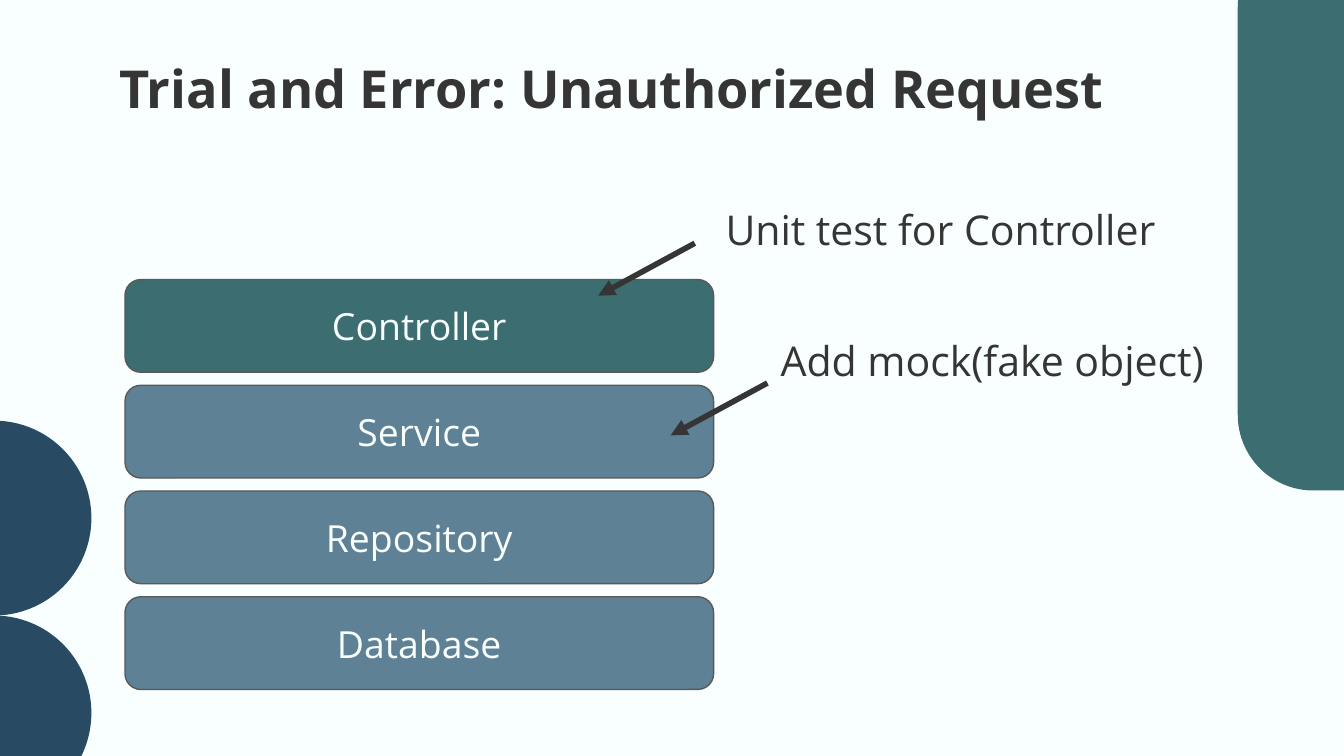
import pptx
import pptx.util
import pptx.dml.color
import pptx.enum.shapes
import pptx.enum.text
import pptx.oxml.ns
from lxml import etree

Inches = pptx.util.Inches
Pt = pptx.util.Pt
SHAPE = pptx.enum.shapes.MSO_SHAPE
ALIGN = pptx.enum.text.PP_ALIGN
ANCHOR = pptx.enum.text.MSO_ANCHOR
COLORS = {"background": "F8FFFE", "teal": "3C6E71", "navy": "284B63",
          "steel": "5F8195", "outline": "595959", "ink": "353535"}
FONT = "Open Sans"
TITLE = {"size": Pt(28), "bold": True}
LAYER = {"size": Pt(20)}
NOTE = {"size": Pt(22)}


def rgb(name):
    return pptx.dml.color.RGBColor.from_string(COLORS[name])


def write(sp, text, color, fmt, align=ALIGN.LEFT, anchor=ANCHOR.TOP):
    tf = sp.text_frame
    frame = {"word_wrap": True, "vertical_anchor": anchor}
    for side in ("left", "top", "right", "bottom"):
        frame[f"margin_{side}"] = Inches(0.1)
    for key, value in frame.items():
        setattr(tf, key, value)
    p = tf.paragraphs[0]
    p.alignment = align
    r = p.add_run()
    r.text = text
    for key, value in {"name": FONT, **fmt}.items():
        setattr(r.font, key, value)
    r.font.color.rgb = rgb(color)


def add_text(s, box, text, fmt):
    sp = s.shapes.add_textbox(*map(Inches, box))
    write(sp, text, "ink", fmt)


def add_block(s, kind, box, fill, radius=None, outline=None):
    sp = s.shapes.add_shape(kind, *map(Inches, box))
    sp.shadow.inherit = False
    sp.fill.solid()
    sp.fill.fore_color.rgb = rgb(fill)
    if radius is not None:
        sp.adjustments[0] = radius
    if outline:
        sp.line.color.rgb = rgb(outline)
        sp.line.width = Pt(0.75)
    else:
        sp.line.fill.background()
    return sp


def add_decoration(s, width):
    add_block(s, SHAPE.ROUNDED_RECTANGLE, (width - 0.79, -0.51, 1.94, 4.16), "teal", 0.29)
    size = 1.45
    for i in range(2):
        add_block(s, SHAPE.OVAL, (-0.77, 3.13 + i * size, size, size), "navy")


def add_layers(s, box, names, active, height=0.69):
    left, top, width, total = box
    step = (total - height) / (len(names) - 1)
    for i, name in enumerate(names):
        sp = add_block(s, SHAPE.ROUNDED_RECTANGLE, (left, top + i * step, width, height),
                       "teal" if name == active else "steel", 0.17, "outline")
        write(sp, name, "background", LAYER, ALIGN.CENTER, ANCHOR.MIDDLE)


def add_callout(s, box, text, tail, reach=(-0.72, 0.39)):
    left, top = box[:2]
    x, y = left + tail[0], top + tail[1]
    cxn = s.shapes.add_connector(pptx.enum.shapes.MSO_CONNECTOR.STRAIGHT,
                                 *map(Inches, (x, y, x + reach[0], y + reach[1])))
    cxn.line.color.rgb = rgb("ink")
    cxn.line.width = Pt(3)
    qn = pptx.oxml.ns.qn
    spPr = cxn._element.spPr
    etree.SubElement(spPr.find(qn("a:ln")), qn("a:tailEnd"), type="triangle")
    etree.SubElement(spPr, qn("a:effectLst"))
    add_text(s, box, text, NOTE)


def main():
    prs = pptx.Presentation()
    prs.slide_width = Inches(10)
    prs.slide_height = prs.slide_width * 9 // 16
    s = prs.slides.add_slide(prs.slide_layouts[6])
    s.background.fill.solid()
    s.background.fill.fore_color.rgb = rgb("background")
    add_decoration(s, 10)
    add_layers(s, (0.93, 2.08, 4.38, 3.05),
               ["Controller", "Service", "Repository", "Database"], "Controller")
    add_text(s, (0.79, 0.32, 8.43, 0.63), "Trial and Error: Unauthorized Request", TITLE)
    add_callout(s, (5.3, 1.42, 4.95, 0.57), "Unit test for Controller", (-0.13, 0.39))
    add_callout(s, (5.71, 2.4, 4.95, 0.57), "Add mock(fake object)", (0, 0.45))
    prs.save("out.pptx")


if __name__ == "__main__":
    main()
